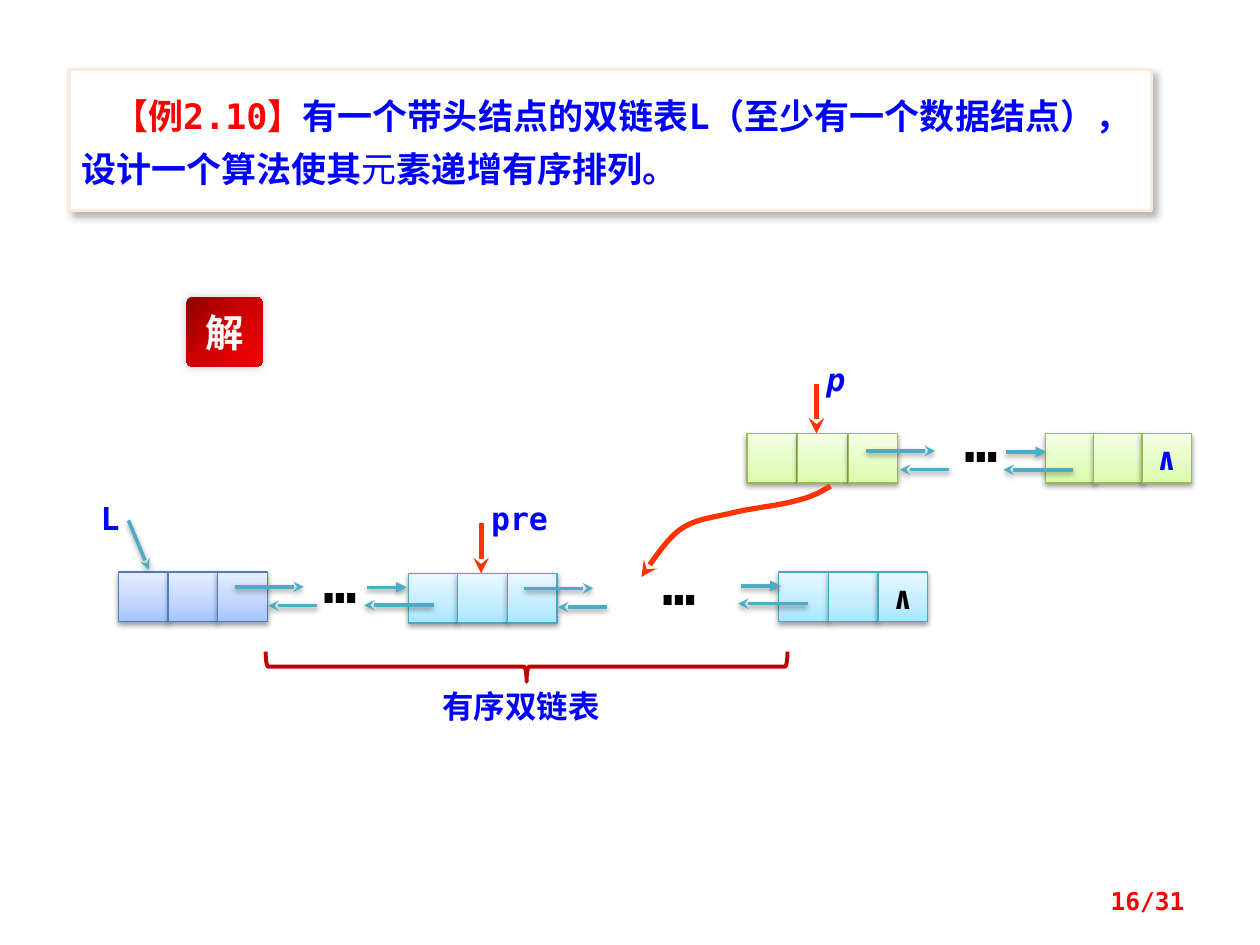
from lxml import etree
from pptx import Presentation
from pptx.dml.color import RGBColor
from pptx.enum.shapes import MSO_CONNECTOR, MSO_SHAPE
from pptx.enum.text import MSO_ANCHOR, PP_ALIGN
from pptx.oxml.ns import qn
from pptx.util import Cm, Pt

RECTANGLE, ROUNDED, BRACE = MSO_SHAPE.RECTANGLE, MSO_SHAPE.ROUNDED_RECTANGLE, MSO_SHAPE.RIGHT_BRACE
STRAIGHT = MSO_CONNECTOR.STRAIGHT
LEFT, CENTER, RIGHT = PP_ALIGN.LEFT, PP_ALIGN.CENTER, PP_ALIGN.RIGHT
TOP, MIDDLE = MSO_ANCHOR.TOP, MSO_ANCHOR.MIDDLE

WHITE, BLACK = RGBColor(255, 255, 255), RGBColor(0, 0, 0)
RED, BLUE = RGBColor(255, 0, 0), RGBColor(0, 0, 255)
CREAM = RGBColor(0xFD, 0xEA, 0xDA)
TEAL = RGBColor(0x4B, 0xAC, 0xC6)
ORANGE = RGBColor(0xFF, 0x33, 0x00)
DARK_RED = RGBColor(0xC0, 0, 0)

MONO, CHINESE = "DejaVu Sans Mono", "Noto Sans CJK SC"

# Gradient stops (percent, colour) and border of each kind of node
VIOLET_NODE = ([(0, "A4C4FF"), (35, "BFD4FF"), (100, "E6EEFF")], RGBColor(0x4B, 0x7E, 0xBC))
CYAN_NODE = ([(0, "A7E6FF"), (35, "C1EDFF"), (100, "E7F8FF")], RGBColor(0x46, 0xAA, 0xC5))
GREEN_NODE = ([(0, "DAFDA7"), (35, "E4FCC2"), (100, "F5FFE7")], RGBColor(0x98, 0xB9, 0x55))
BADGE_STOPS = [(0, "8F0000"), (50, "CF0001"), (100, "F60004")]

# Shadows: opacity percent, blur and distance in points, direction in degrees
SOFT = (38, 3.1, 1.6, 90)
BOX_SHADOW = (30, 4.5, 2.6, 53)
BADGE_SHADOW = (20, 6, 0, 225)


def decorate(shape, shadow=None, stops=None, angle=0, tail=None):
    """Set the gradient, arrowhead and shadow of a shape or connector."""
    properties = shape._element.spPr
    if stops:
        shape.fill.gradient()
        shape.fill.gradient_angle = 360 - angle
        stop_list = properties.find(qn("a:gradFill")).find(qn("a:gsLst"))
        for stop in list(stop_list):
            stop_list.remove(stop)
        for percent, colour in stops:
            stop = etree.SubElement(stop_list, qn("a:gs"), pos=str(percent * 1000))
            etree.SubElement(stop, qn("a:srgbClr"), val=colour)
    if tail:
        etree.SubElement(properties.find(qn("a:ln")), qn("a:tailEnd"), type=tail)
    effects = etree.SubElement(properties, qn("a:effectLst"))
    if shadow:
        opacity, blur, distance, direction = shadow
        outer = etree.SubElement(
            effects, qn("a:outerShdw"), blurRad=str(Pt(blur)), dist=str(Pt(distance)),
            dir=str(direction * 60000), algn="ctr", rotWithShape="0")
        colour = etree.SubElement(outer, qn("a:srgbClr"), val="000000")
        etree.SubElement(colour, qn("a:alpha"), val=str(opacity * 1000))


def write(shape, runs, size, font=MONO, align=LEFT, anchor=TOP, wrap=True):
    """Write (text, format) runs in one paragraph and return it."""
    frame = shape.text_frame
    frame.word_wrap = wrap
    frame.vertical_anchor = anchor
    paragraph = frame.paragraphs[0]
    paragraph.alignment = align
    for text, changes in runs:
        run = paragraph.add_run()
        run.text = text
        values = {"name": font, "size": Pt(size), "bold": True} | changes
        colour = values.pop("colour")
        for name, value in values.items():
            setattr(run.font, name, value)
        run.font.color.rgb = colour
        etree.SubElement(run._r.get_or_add_rPr(), qn("a:ea"), typeface=CHINESE)
    return paragraph


presentation = Presentation()
presentation.slide_width, presentation.slide_height = Cm(25.4), Cm(19.05)
slide = presentation.slides.add_slide(presentation.slide_layouts[6])
shapes = slide.shapes

# Problem statement
statement = shapes.add_shape(RECTANGLE, Cm(1.39), Cm(1.4), Cm(21.82), Cm(2.85))
statement.fill.solid()
statement.fill.fore_color.rgb = WHITE
statement.line.color.rgb = CREAM
statement.line.width = Pt(2)
decorate(statement, BOX_SHADOW)
statement.text_frame.margin_top = statement.text_frame.margin_bottom = Cm(0.3)
paragraph = write(statement, [
    ("【例2.10】", {"colour": RED}),
    ("有一个带头结点的双链表L（至少有一个数据结点），设计一个算法使其", {"colour": BLUE}),
    ("元", {"colour": BLUE, "bold": False}),
    ("素递增有序排列。", {"colour": BLUE}),
], 20)
paragraph.line_spacing = Pt(30)
paragraph._p.get_or_add_pPr().set("indent", str(Cm(0.64)))

# Solution badge
badge = shapes.add_shape(ROUNDED, Cm(3.76), Cm(5.99), Cm(1.53), Cm(1.4))
badge.adjustments[0] = 0.08
badge.line.fill.background()
decorate(badge, BADGE_SHADOW, BADGE_STOPS, 45)
write(badge, [("解", {"colour": WHITE})], 22, CHINESE, CENTER, MIDDLE, False)

# List nodes of three cells: left, top, pitch, style, colour of the end mark
nodes = [
    (2.39, 11.53, 1.0, VIOLET_NODE, None),
    (8.23, 11.56, 1.0, CYAN_NODE, None),
    (15.7, 11.53, 1.0, CYAN_NODE, BLACK),
    (15.06, 8.74, 1.02, GREEN_NODE, None),
    (21.08, 8.74, 0.97, GREEN_NODE, BLUE),
]
for left, top, pitch, (stops, border), mark_colour in nodes:
    for column in range(3):
        cell = shapes.add_shape(RECTANGLE, Cm(left + column * pitch), Cm(top), Cm(1), Cm(1))
        cell.line.color.rgb = border
        cell.line.width = Pt(0.75)
        decorate(cell, SOFT, stops, 270)
    if mark_colour is not None:
        write(cell, [("∧", {"colour": mark_colour})], 18, MONO, CENTER, MIDDLE, False)

# Links that leave a node on its right or reach it from its left
right_links = [(2.34, 3.73, 0.3, "stealth"), (4.01, 3.02, 0.68, "stealth")]
left_links = [(-0.84, -0.03, 0.28, "triangle"), (0.51, -0.89, 0.64, "stealth")]
link_groups = [
    (2.39, 11.53, right_links),
    (8.23, 11.56, left_links),
    (8.23, 11.56, right_links),
    (15.77, 11.53, left_links),
    (15.12, 8.79, right_links),
    (21.12, 8.83, left_links),
]
arrows = [
    (left + start, top + drop, left + end, top + drop, TEAL, 2, head)
    for left, top, links in link_groups
    for start, end, drop, head in links
]

# Pointer arrows for L, p and pre
arrows += [
    (2.59, 10.49, 3.0, 11.48, TEAL, 2, "stealth"),
    (16.46, 7.75, 16.46, 8.74, ORANGE, 3, "stealth"),
    (9.7, 10.54, 9.7, 11.56, ORANGE, 3, "stealth"),
]
for x1, y1, x2, y2, colour, width, head in arrows:
    arrow = shapes.add_connector(STRAIGHT, Cm(x1), Cm(y1), Cm(x2), Cm(y2))
    arrow.line.color.rgb = colour
    arrow.line.width = Pt(width)
    decorate(arrow, SOFT if colour == TEAL else None, tail=head)

# Curved insertion arrow, drawn through points on Bezier segments
start = (16.74, 9.8)
segments = [
    ((16.74, 9.8), (16.43, 10.01), (16.1, 10.08)),
    ((15.75, 10.19), (15.16, 10.24), (14.76, 10.34)),
    ((14.35, 10.44), (14.0, 10.46), (13.69, 10.69)),
    ((13.39, 10.92), (13.08, 11.43), (12.93, 11.63)),
]
steps = 8
points = []
origin = start
for segment in segments:
    for step in range(1, steps + 1):
        t = step / steps
        weights = ((1 - t) ** 3, 3 * t * (1 - t) ** 2, 3 * t * t * (1 - t), t ** 3)
        points.append(tuple(
            Cm(sum(weight * point[axis] for weight, point in zip(weights, (origin, *segment))))
            for axis in range(2)))
    origin = segment[-1]
builder = shapes.build_freeform(Cm(start[0]), Cm(start[1]))
builder.add_line_segments(points, close=False)
insertion = builder.convert_to_shape()
insertion.fill.background()
insertion.line.color.rgb = ORANGE
insertion.line.width = Pt(3)
decorate(insertion, tail="stealth")

# Brace under the sorted part
brace = shapes.add_shape(BRACE, Cm(10.31), Cm(8.18), Cm(0.61), Cm(10.52))
brace.rotation = 90
brace.fill.background()
brace.line.color.rgb = DARK_RED
brace.line.width = Pt(2.25)
decorate(brace)

# Labels: text, left, top, width, height, size, font, alignment, anchor, format
labels = [
    ("L", 1.78, 9.93, 1.07, 1.02, 18, MONO, LEFT, TOP, {"colour": BLUE}),
    ("p", 16.41, 7.14, 0.99, 1.02, 18, MONO, LEFT, TOP, {"colour": BLUE, "italic": True}),
    ("pre", 9.65, 9.93, 1.96, 1.02, 18, MONO, LEFT, TOP, {"colour": BLUE}),
    ("…", 19.2, 8.08, 2.01, 1.6, 32, MONO, LEFT, TOP, {"colour": BLACK}),
    ("…", 13.11, 10.95, 1.37, 1.6, 32, MONO, LEFT, TOP, {"colour": BLACK}),
    ("…", 6.27, 10.92, 1.22, 1.6, 32, MONO, LEFT, TOP, {"colour": BLACK}),
    ("有序双链表", 7.92, 13.72, 5.16, 1.02, 18, CHINESE, CENTER, TOP, {"colour": BLUE}),
    ("16/31", 18.21, 17.65, 5.92, 1.02, 14, MONO, RIGHT, MIDDLE, {"colour": RED}),
]
for text, left, top, width, height, size, font, align, anchor, changes in labels:
    label = shapes.add_textbox(Cm(left), Cm(top), Cm(width), Cm(height))
    write(label, [(text, changes)], size, font, align, anchor)

presentation.save("out.pptx")
